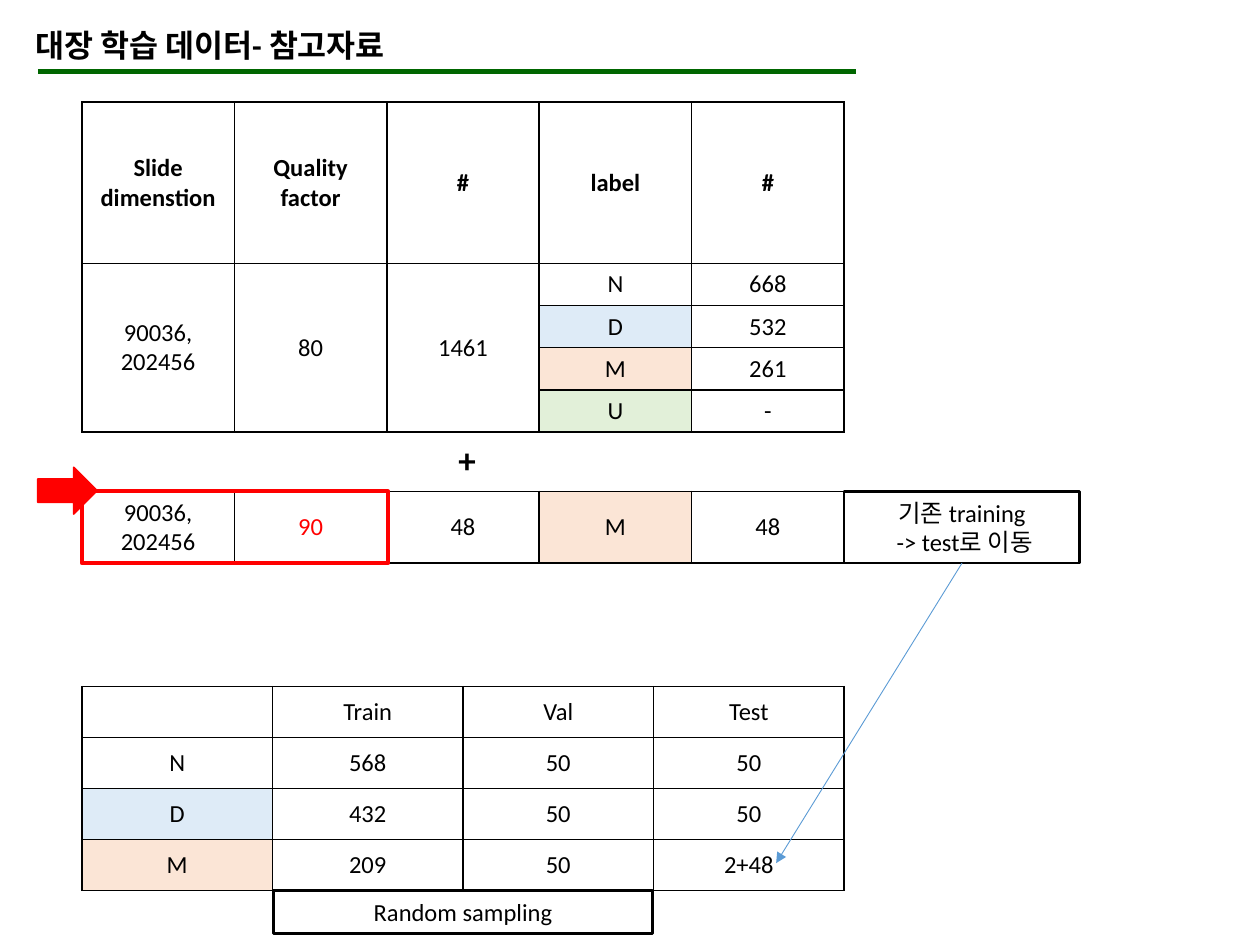
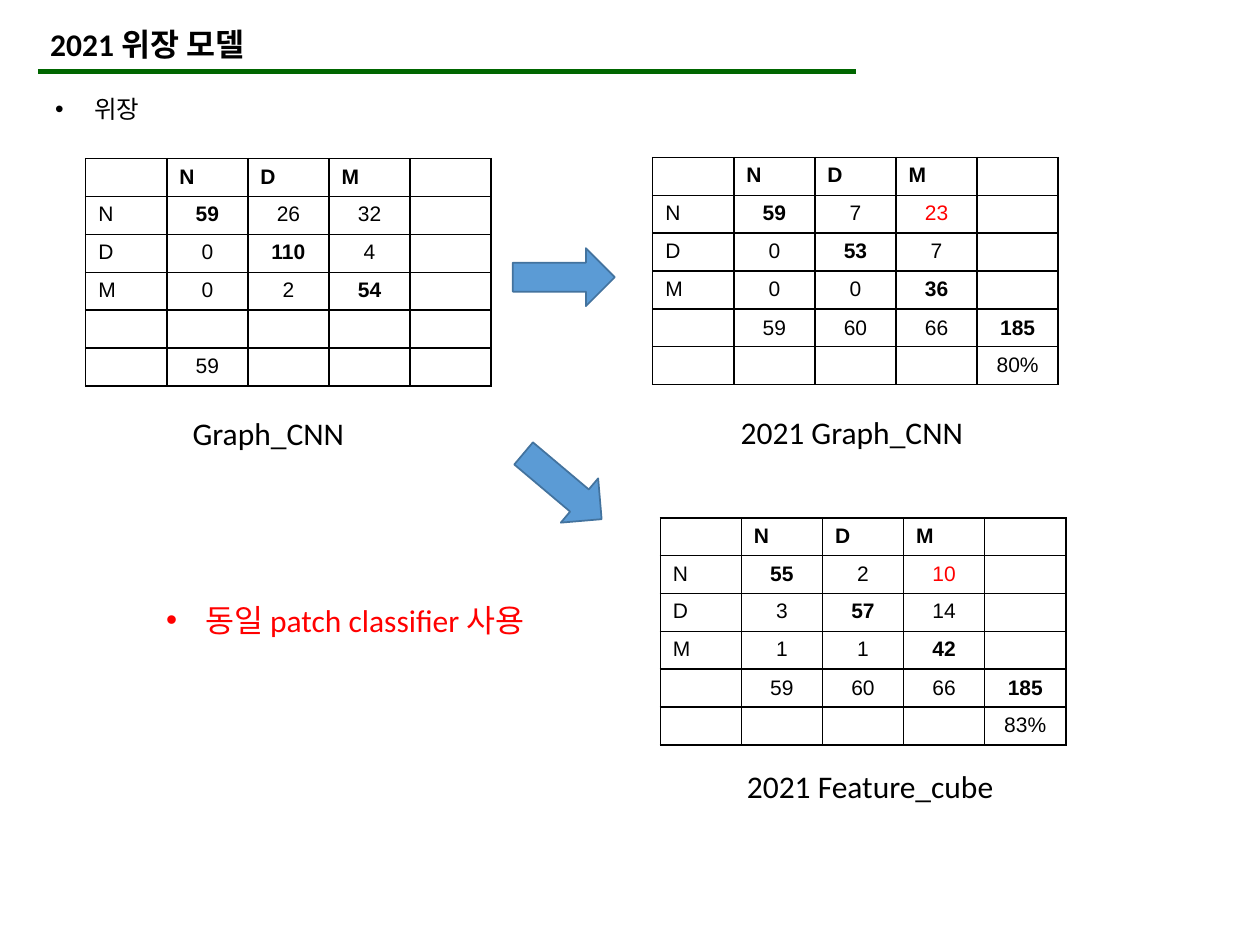
import pptx
import pptx.util
import pptx.dml.color
import pptx.enum.shapes
import pptx.enum.text
import pptx.oxml.ns
import lxml.etree

Inches = pptx.util.Inches
Pt = pptx.util.Pt
qn = pptx.oxml.ns.qn
ALIGN = pptx.enum.text.PP_ALIGN
ANCHOR = pptx.enum.text.MSO_ANCHOR
SHAPE = pptx.enum.shapes.MSO_SHAPE

BLACK, WHITE, RED, GREEN = "000000", "FFFFFF", "FF0000", "006600"
BLUE, DARK_BLUE = "5B9BD5", "43739E"
LABEL_FILLS = {"D": "DEEBF7", "M": "FBE5D6", "U": "E2F0D9"}

BODY = {"size": Pt(14), "name": "Calibri", "bold": False}
BOLD_BODY = {**BODY, "bold": True}
CAPTION = {**BODY, "size": Pt(18)}
TITLE = {**CAPTION, "bold": True}
PLUS = {**TITLE, "size": Pt(20)}
TOPIC = {**BODY, "name": "Arial"}
MATRIX = {**TOPIC, "size": Pt(12)}

TABLE_LEFT, TABLE_WIDTH = 0.65, 6.05
HEADER_HEIGHT, LABELS_HEIGHT = 1.28, 1.34
DIMENSION = "90036,\n202456"

LABEL_ROWS = [
    ["Slide dimenstion", "Quality factor", "#", "label", "#"],
    [DIMENSION, "80", "1461", "N", "668"],
    ["", "", "", "D", "532"],
    ["", "", "", "M", "261"],
    ["", "", "", "U", "-"],
]
ADDED_ROWS = [[DIMENSION, "90", "48", "M", "48"]]
SPLIT_ROWS = [
    ["", "Train", "Val", "Test"],
    ["N", "568", "50", "50"],
    ["D", "432", "50", "50"],
    ["M", "209", "50", "2+48"],
]

MATRIX_HEADER = ["", "N", "D", "M", ""]
TOTALS = ["", "59", "60", "66", "185"]
MATRICES = [
    {"at": (0.68, 1.26), "caption": ("Graph_CNN", 1.43, 3.24, 1.72), "red": None,
     "rows": [["N", "59", "26", "32", ""], ["D", "0", "110", "4", ""],
              ["M", "0", "2", "54", ""], [""] * 5, ["", "59", "", "", ""]]},
    {"at": (5.18, 1.25), "caption": ("2021 Graph_CNN", 5.78, 3.23, 2.53), "red": (1, 3),
     "rows": [["N", "59", "7", "23", ""], ["D", "0", "53", "7", ""],
              ["M", "0", "0", "36", ""], TOTALS, ["", "", "", "", "80%"]]},
    {"at": (5.24, 4.11), "caption": ("2021 Feature_cube", 5.83, 6.04, 2.33), "red": (1, 3),
     "rows": [["N", "55", "2", "10", ""], ["D", "3", "57", "14", ""],
              ["M", "1", "1", "42", ""], TOTALS, ["", "", "", "", "83%"]]},
]
MODEL_ARROWS = [(4.07, 1.97, 0), (4.06, 3.63, 40.1)]


def rgb(value):
    return pptx.dml.color.RGBColor.from_string(value)


def inches(*values):
    return [Inches(value) for value in values]


def write(para, text, style, color=BLACK, align=ALIGN.LEFT):
    para.text = text
    para.alignment = align
    for span in para.runs:
        for name, value in style.items():
            setattr(span.font, name, value)
        span.font.color.rgb = rgb(color)
    if not text:
        end = lxml.etree.SubElement(para._p, qn("a:endParaRPr"))
        end.set("sz", str(int(style["size"].pt * 100)))


def add_text(page, text, at, style, color=BLACK, bullet=False, spacing=None):
    box = page.shapes.add_textbox(*inches(*at))
    box.text_frame.word_wrap = True
    para = box.text_frame.paragraphs[0]
    write(para, text, style, color)
    para.line_spacing = spacing
    if bullet:
        properties = para._p.get_or_add_pPr()
        properties.set("marL", str(Inches(0.31)))
        properties.set("indent", str(Inches(-0.31)))
        font = lxml.etree.SubElement(properties, qn("a:buFont"))
        font.set("typeface", "Arial")
        lxml.etree.SubElement(properties, qn("a:buChar")).set("char", "•")


def add_box(page, kind, at, line, weight, fill=None, text="", turn=0):
    box = page.shapes.add_shape(kind, *inches(*at))
    box.shadow.inherit = False
    box.rotation = turn
    if fill:
        box.fill.solid()
        box.fill.fore_color.rgb = rgb(fill)
    else:
        box.fill.background()
    box.line.color.rgb = rgb(line)
    box.line.width = Pt(weight)
    if text:
        box.text_frame.word_wrap = True
        box.text_frame.vertical_anchor = ANCHOR.TOP
        write(box.text_frame.paragraphs[0], text, BODY, align=ALIGN.CENTER)
    return box


def add_line(page, start, end, color, weight):
    line = page.shapes.add_connector(
        pptx.enum.shapes.MSO_CONNECTOR.STRAIGHT, *inches(*start, *end))
    line.line.color.rgb = rgb(color)
    line.line.width = Pt(weight)
    lxml.etree.SubElement(line._element.spPr, qn("a:effectLst"))
    return line


def add_borders(cell):
    properties = cell._tc.get_or_add_tcPr()
    for side in ("a:lnL", "a:lnR", "a:lnT", "a:lnB"):
        border = lxml.etree.SubElement(properties, qn(side))
        border.set("w", str(Pt(1)))
        paint = lxml.etree.SubElement(border, qn("a:solidFill"))
        lxml.etree.SubElement(paint, qn("a:srgbClr")).set("val", BLACK)


def add_table(page, at, width, heights, rows, look):
    columns = len(rows[0])
    frame = page.shapes.add_table(
        len(rows), columns, *inches(*at, width, sum(heights)))
    table = frame.table
    table.first_row = table.horz_banding = False
    for column in table.columns:
        column.width = Inches(width / columns)
    for r, (height, texts) in enumerate(zip(heights, rows)):
        table.rows[r].height = Inches(height)
        for c, text in enumerate(texts):
            cell = table.cell(r, c)
            style, color, align, anchor, fill = look(r, c, text)
            add_borders(cell)
            cell.fill.solid()
            cell.fill.fore_color.rgb = rgb(fill)
            cell.vertical_anchor = anchor
            for n, part in enumerate(text.split("\n")):
                para = cell.text_frame.add_paragraph() if n else cell.text_frame.paragraphs[0]
                write(para, part, style, color, align)
    return table


def label_look(r, c, text):
    style = BOLD_BODY if r == 0 else BODY
    return style, BLACK, ALIGN.CENTER, ANCHOR.MIDDLE, LABEL_FILLS.get(text, WHITE)


def added_look(r, c, text):
    color = RED if c == 1 else BLACK
    return BODY, color, ALIGN.CENTER, ANCHOR.MIDDLE, LABEL_FILLS.get(text, WHITE)


def split_look(r, c, text):
    return BODY, BLACK, ALIGN.CENTER, ANCHOR.MIDDLE, LABEL_FILLS.get(text, WHITE)


def matrix_look(red):
    def look(r, c, text):
        style = {**MATRIX, "bold": r == 0 or r == c}
        color = RED if (r, c) == red else BLACK
        align = ALIGN.LEFT if r == 0 or c == 0 else ALIGN.CENTER
        anchor = ANCHOR.MIDDLE if r == 4 else ANCHOR.TOP
        return style, color, align, anchor, WHITE
    return look


def add_page(deck, title, left, top):
    page = deck.slides.add_slide(deck.slide_layouts[6])
    add_text(page, title, (left, top, 5.89, 0.4), TITLE)
    add_line(page, (0.3, 0.57), (6.79, 0.57), GREEN, 3)
    return page


def build_data_page(deck):
    page = add_page(deck, "대장 학습 데이터- 참고자료", 0.18, 0.16)
    label_count = len(LABEL_ROWS) - 1
    heights = [HEADER_HEIGHT] + [LABELS_HEIGHT / label_count] * label_count
    labels = add_table(page, (TABLE_LEFT, 0.81), TABLE_WIDTH, heights, LABEL_ROWS, label_look)
    for column in range(3):
        labels.cell(1, column).merge(labels.cell(label_count, column))
    add_table(page, (TABLE_LEFT, 3.9), TABLE_WIDTH, [0.57], ADDED_ROWS, added_look)
    note = add_box(page, SHAPE.RECTANGLE, (TABLE_LEFT + TABLE_WIDTH, 3.9, 1.87, 0.57),
                   BLACK, 1.5, text="기존 training\n -> test로 이동")
    add_text(page, "+", (3.54, 3.43, 1.09, 0.44), PLUS)
    add_table(page, (TABLE_LEFT, 5.45), TABLE_WIDTH, [1.62 / 4] * 4, SPLIT_ROWS, split_look)
    move = add_line(page, (7.64, 4.47), (6.16, 6.85), BLUE, 0.5)
    move.begin_connect(note, 2)
    lxml.etree.SubElement(move.line._get_or_add_ln(), qn("a:tailEnd")).set("type", "triangle")
    add_box(page, SHAPE.RECTANGLE, (2.17, 7.07, 3.01, 0.34), BLACK, 1.5, text="Random sampling")
    add_box(page, SHAPE.RECTANGLE, (TABLE_LEFT, 3.9, 2.43, 0.57), RED, 2.25)
    add_box(page, SHAPE.RIGHT_ARROW, (0.3, 3.71, 0.47, 0.37), RED, 1, RED)


def build_model_page(deck):
    page = add_page(deck, "2021 위장 모델", 0.3, 0.15)
    add_text(page, "위장", (0.34, 0.58, 8.33, 0.41), TOPIC, bullet=True, spacing=1.5)
    for matrix in MATRICES:
        rows = [MATRIX_HEADER] + matrix["rows"]
        add_table(page, matrix["at"], 3.22, [0.3] * len(rows), rows, matrix_look(matrix["red"]))
        caption, left, top, width = matrix["caption"]
        add_text(page, caption, (left, top, width, 0.4), CAPTION)
    for left, top, turn in MODEL_ARROWS:
        add_box(page, SHAPE.RIGHT_ARROW, (left, top, 0.81, 0.46), DARK_BLUE, 1, BLUE, turn=turn)
    add_text(page, "동일 patch classifier 사용", (1.22, 4.72, 3.38, 0.4), CAPTION, RED, bullet=True)


def main():
    deck = pptx.Presentation()
    deck.slide_width, deck.slide_height = inches(10, 7.5)
    build_data_page(deck)
    build_model_page(deck)
    deck.save("out.pptx")


if __name__ == "__main__":
    main()
